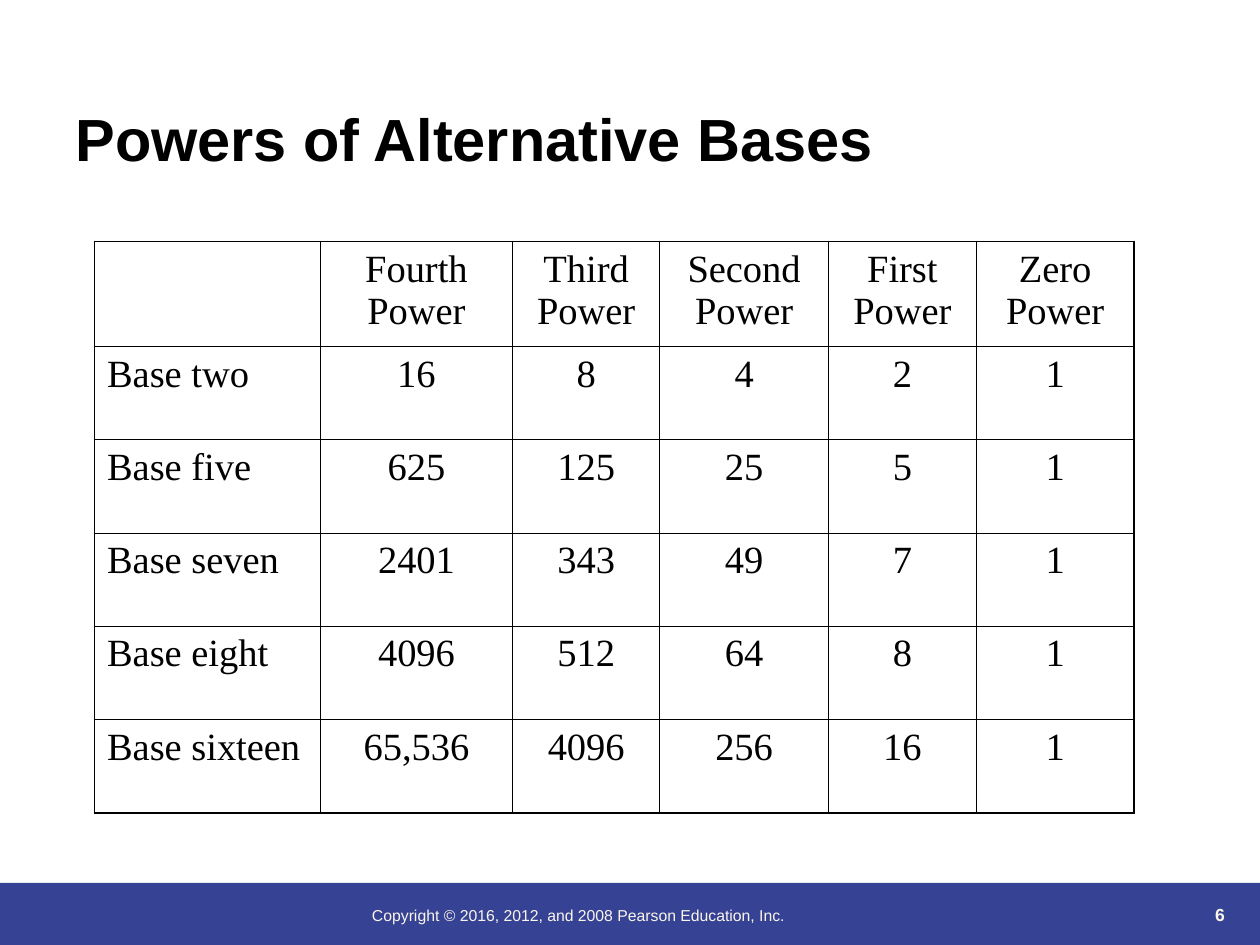
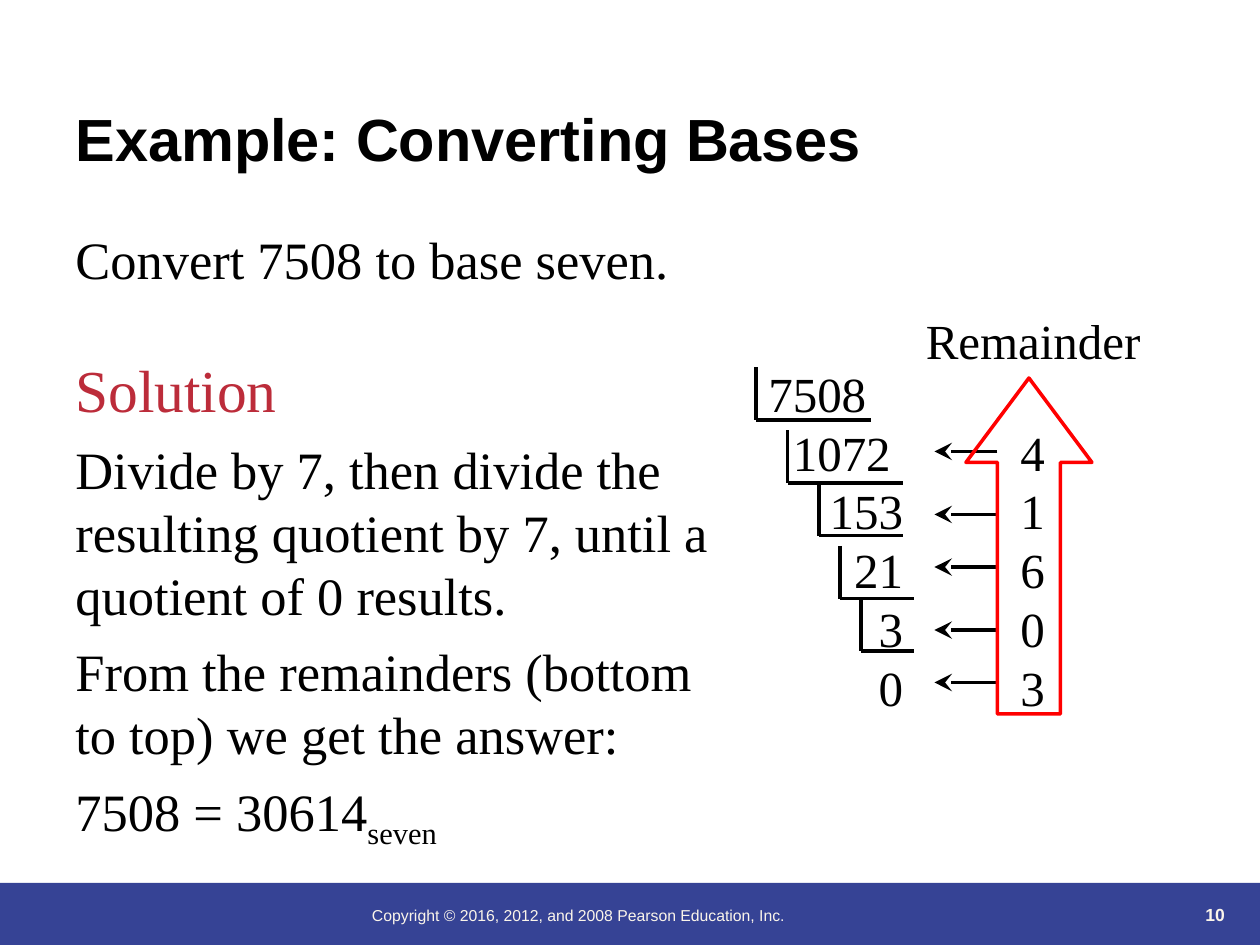
from dataclasses import dataclass

import pptx
import pptx.dml.color
import pptx.enum.shapes
import pptx.enum.text
import pptx.oxml
import pptx.oxml.ns
import pptx.util
from lxml import etree

Pt = pptx.util.Pt
Align = pptx.enum.text.PP_ALIGN
Anchor = pptx.enum.text.MSO_ANCHOR

BLACK, BAND_BLUE, CREAM = "000000", "364395", "FBF5EA"
SOLUTION_RED, ARROW_RED = "BC2C3A", "FF0000"
SANS, SERIF = "Arial", "Times New Roman"
LINE_WIDTH, GRID_WIDTH, FRAME_WIDTH = 2, 0.45, 1.08


@dataclass(frozen=True)
class Box:
    left: float
    top: float
    width: float
    height: float

    def lengths(self) -> tuple:
        return Pt(self.left), Pt(self.top), Pt(self.width), Pt(self.height)


@dataclass(frozen=True)
class TextStyle:
    size: float
    font: str = SERIF
    color: str = BLACK
    bold: bool = False
    align: Align = Align.LEFT


@dataclass(frozen=True)
class DivisionStep:
    """One line of the division: the number, its indent and the remainder."""
    number: str
    indent: float
    remainder: str = ""


@dataclass(frozen=True)
class Bracket:
    left: float
    top: float
    right: float


TITLE_BOX = Box(36, 12.5, 648, 90)
BAND_BOX = Box(0, 504.5, 720, 35.5)
COPYRIGHT_BOX = Box(205.5, 514, 354, 25)
NUMBER_BOX = Box(641, 496, 66, 36)
COPYRIGHT = "Copyright © 2016, 2012, and 2008 Pearson Education, Inc."

TITLE_STYLE = TextStyle(34, SANS, bold=True)
COPYRIGHT_STYLE = TextStyle(9, SANS, CREAM)
NUMBER_STYLE = TextStyle(10, SANS, CREAM, True, Align.RIGHT)
BODY_STYLE = TextStyle(30)
SOLUTION_STYLE = TextStyle(34, color=SOLUTION_RED)
DIVISION_STYLE = TextStyle(28)
ROW_NAME_STYLE = TextStyle(22)
CELL_STYLE = TextStyle(22, align=Align.CENTER)

TABLE_BOX = Box(54, 138, 594, 326.5)
COLUMN_WIDTHS = (129, 110, 84, 96.5, 84.5, 90)
HEADER_HEIGHT, ROW_HEIGHT = 60, 53.3
POWERS = (
    ("", "Fourth Power", "Third Power", "Second Power", "First Power", "Zero Power"),
    ("Base two", "16", "8", "4", "2", "1"),
    ("Base five", "625", "125", "25", "5", "1"),
    ("Base seven", "2401", "343", "49", "7", "1"),
    ("Base eight", "4096", "512", "64", "8", "1"),
    ("Base sixteen", "65,536", "4096", "256", "16", "1"),
)

REMAINDER_TAB = 144
DIVISION = (
    DivisionStep("7508", 0),
    DivisionStep("1072", 14, "4"),
    DivisionStep("153", 35, "1"),
    DivisionStep("21", 49, "6"),
    DivisionStep("3", 63, "0"),
    DivisionStep("0", 63, "3"),
)
BRACKET_HEIGHT = 30
BRACKETS = (
    Bracket(432, 210, 498),
    Bracket(450, 246, 516),
    Bracket(468, 276, 516),
    Bracket(480, 312, 522),
    Bracket(492, 342, 522),
)
ARROW_START, ARROW_END = 570, 534
ARROW_HEIGHTS = (258, 294, 324, 360, 390)


def rgb(color: str) -> pptx.dml.color.RGBColor:
    return pptx.dml.color.RGBColor.from_string(color)


def format_paragraph(paragraph, style: TextStyle) -> None:
    paragraph.alignment = style.align
    font = paragraph.font
    font.name, font.size, font.bold = style.font, Pt(style.size), style.bold
    font.color.rgb = rgb(style.color)


def add_frame(slide, box: Box):
    """Add an empty wrapping text box and return its text frame."""
    frame = slide.shapes.add_textbox(*box.lengths()).text_frame
    frame.word_wrap = True
    return frame


def add_text(slide, box: Box, text: str, style: TextStyle):
    frame = add_frame(slide, box)
    frame.text = text
    format_paragraph(frame.paragraphs[0], style)
    return frame


def add_tabs(paragraph, positions: list[float]) -> None:
    tab_list = pptx.oxml.parse_xml(f"<a:tabLst {pptx.oxml.ns.nsdecls('a')}/>")
    for position in positions:
        etree.SubElement(tab_list, pptx.oxml.ns.qn("a:tab"),
                         pos=str(Pt(position)), algn="l")
    paragraph._p.get_or_add_pPr().append(tab_list)


def add_line(slide, start: tuple[float, float], end: tuple[float, float],
             arrow: bool = False) -> None:
    connector = slide.shapes.add_connector(
        pptx.enum.shapes.MSO_CONNECTOR.STRAIGHT, *map(Pt, start + end))
    connector.line.color.rgb = rgb(BLACK)
    connector.line.width = Pt(LINE_WIDTH)
    if arrow:
        etree.SubElement(connector.line._get_or_add_ln(),
                         pptx.oxml.ns.qn("a:tailEnd"),
                         type="stealth", w="lg", len="lg")
    etree.SubElement(connector._element.spPr, pptx.oxml.ns.qn("a:effectLst"))


def add_preset(slide, preset: pptx.enum.shapes.MSO_SHAPE, box: Box):
    shape = slide.shapes.add_shape(preset, *box.lengths())
    shape.shadow.inherit = False
    return shape


def add_titled_slide(presentation, title_text: str, number: int):
    slide = presentation.slides.add_slide(presentation.slide_layouts[5])
    band = add_preset(slide, pptx.enum.shapes.MSO_SHAPE.RECTANGLE, BAND_BOX)
    band.fill.solid()
    band.fill.fore_color.rgb = rgb(BAND_BLUE)
    band.line.fill.background()
    add_text(slide, COPYRIGHT_BOX, COPYRIGHT, COPYRIGHT_STYLE)
    number_frame = add_text(slide, NUMBER_BOX, str(number), NUMBER_STYLE)
    number_frame.vertical_anchor = Anchor.BOTTOM

    title = slide.shapes.title
    title.left, title.top, title.width, title.height = TITLE_BOX.lengths()
    title.text = title_text
    title.text_frame.vertical_anchor = Anchor.BOTTOM
    title.text_frame.auto_size = pptx.enum.text.MSO_AUTO_SIZE.NONE
    format_paragraph(title.text_frame.paragraphs[0], TITLE_STYLE)
    return slide


def set_borders(cell, widths: dict[str, float]) -> None:
    """Draw black borders; widths maps L, R, T, B, in that order, to points."""
    properties = cell._tc.get_or_add_tcPr()
    for index, (side, width) in enumerate(widths.items()):
        properties.insert(index, pptx.oxml.parse_xml(
            f'<a:ln{side} {pptx.oxml.ns.nsdecls("a")} w="{Pt(width)}">'
            f'<a:solidFill><a:srgbClr val="{BLACK}"/></a:solidFill></a:ln{side}>'))


def add_powers_table(slide) -> None:
    last_row, last_column = len(POWERS) - 1, len(COLUMN_WIDTHS) - 1
    table = slide.shapes.add_table(
        len(POWERS), len(COLUMN_WIDTHS), *TABLE_BOX.lengths()).table
    table.first_row = table.horz_banding = False
    for column, width in zip(table.columns, COLUMN_WIDTHS):
        column.width = Pt(width)
    for row_index, texts in enumerate(POWERS):
        table.rows[row_index].height = Pt(ROW_HEIGHT if row_index else HEADER_HEIGHT)
        for column_index, text in enumerate(texts):
            cell = table.cell(row_index, column_index)
            cell.text = text
            cell.fill.background()
            format_paragraph(cell.text_frame.paragraphs[0],
                             CELL_STYLE if column_index else ROW_NAME_STYLE)
            on_frame = {"L": column_index == 0, "R": column_index == last_column,
                        "T": row_index == 0, "B": row_index == last_row}
            set_borders(cell, {side: FRAME_WIDTH if outer else GRID_WIDTH
                               for side, outer in on_frame.items()})


def add_division(slide) -> None:
    frame = add_frame(slide, Box(432, 204, 216, 260))
    for index, step in enumerate(DIVISION):
        paragraph = frame.add_paragraph() if index else frame.paragraphs[0]
        lead = "\t" if step.indent else ""
        tail = f"\t{step.remainder}" if step.remainder else ""
        paragraph.text = lead + step.number + tail
        if step.indent:
            add_tabs(paragraph, [step.indent, REMAINDER_TAB])
        format_paragraph(paragraph, DIVISION_STYLE)

    for bracket in BRACKETS:
        corner = (bracket.left, bracket.top + BRACKET_HEIGHT)
        add_line(slide, (bracket.left, bracket.top), corner)
        add_line(slide, corner, (bracket.right, corner[1]))
    add_text(slide, Box(522, 174, 144, 41), "Remainder", DIVISION_STYLE)
    for height in ARROW_HEIGHTS:
        add_line(slide, (ARROW_START, height), (ARROW_END, height), arrow=True)

    reading_arrow = add_preset(slide, pptx.enum.shapes.MSO_SHAPE.UP_ARROW,
                               Box(552, 216, 72, 192))
    reading_arrow.adjustments[0] = 0.5
    reading_arrow.adjustments[1] = 0.67
    reading_arrow.fill.background()
    reading_arrow.line.color.rgb = rgb(ARROW_RED)
    reading_arrow.line.width = Pt(LINE_WIDTH)


def add_solution(slide) -> None:
    add_text(slide, Box(36, 126, 414, 43), "Convert 7508 to base seven.", BODY_STYLE)
    frame = add_text(slide, Box(36, 198, 381.5, 291.5), "Solution", SOLUTION_STYLE)
    for text in (
        "Divide by 7, then divide the resulting quotient by 7, "
        "until a quotient of 0 results.",
        "From the remainders (bottom to top) we get the answer:",
        "7508 = 30614",
    ):
        paragraph = frame.add_paragraph()
        paragraph.text = text
        paragraph.space_before = Pt(7.5)
        format_paragraph(paragraph, BODY_STYLE)
    base = frame.paragraphs[-1].add_run()
    base.text = "seven"
    base._r.get_or_add_rPr().set("baseline", "-25000")


def main() -> None:
    presentation = pptx.Presentation()
    presentation.slide_width, presentation.slide_height = Pt(720), Pt(540)
    add_powers_table(add_titled_slide(presentation, "Powers of Alternative Bases", 6))
    example = add_titled_slide(presentation, "Example: Converting Bases", 10)
    add_solution(example)
    add_division(example)
    presentation.save("out.pptx")


if __name__ == "__main__":
    main()
